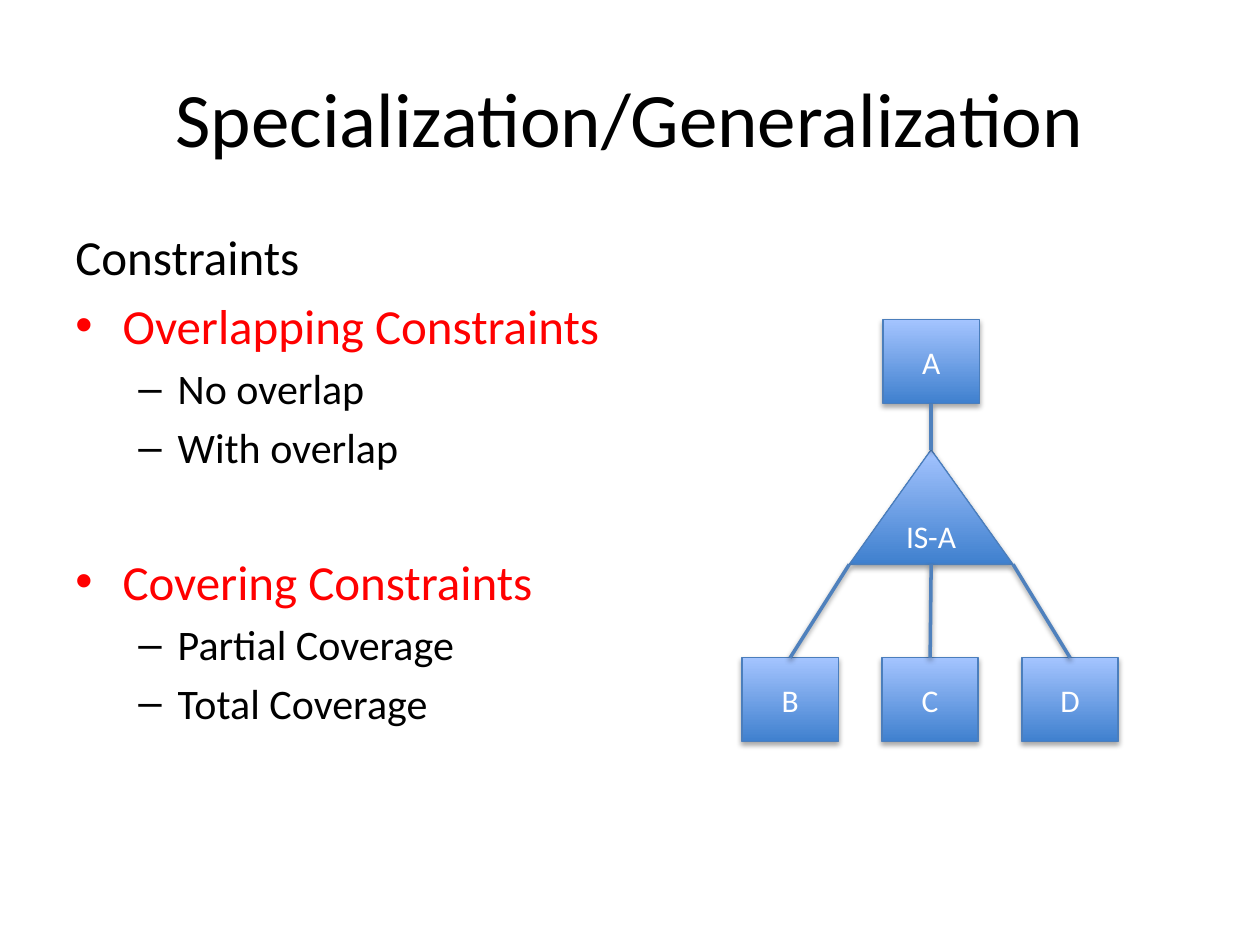
from lxml import etree
from pptx import Presentation
from pptx.dml.color import RGBColor
from pptx.enum import shapes, text
from pptx.oxml import ns
from pptx.util import Pt

FONT = "Calibri"
BLACK = RGBColor(0x00, 0x00, 0x00)
WHITE = RGBColor(0xFF, 0xFF, 0xFF)
RED = RGBColor(0xFF, 0x00, 0x00)
NODE_DARK = RGBColor(0x3F, 0x80, 0xCE)
NODE_LIGHT = RGBColor(0xA4, 0xC4, 0xFF)
NODE_EDGE = RGBColor(0x4B, 0x7E, 0xBC)
LINK = RGBColor(0x4F, 0x81, 0xBD)

# wording, level (None: no bullet), space before
CONSTRAINTS = [
    ("Constraints", None, 0),
    ("Overlapping Constraints", 0, 5.6),
    ("No overlap", 1, 4.8),
    ("With overlap", 1, 4.8),
    ("Covering Constraints", 0, 45.4),
    ("Partial Coverage", 1, 4.8),
    ("Total Coverage", 1, 4.8),
]
# level: bullet, left margin, hanging indent, size, colour
LEVELS = {
    None: (None, 0, 0, 28, BLACK),
    0: ("•", 27, 27, 28, RED),
    1: ("–", 58.5, 22.5, 24, BLACK),
}


def add_run(p, wording, size, color):
    r = p.add_run()
    r.text = wording
    r.font.name, r.font.size, r.font.color.rgb = FONT, Pt(size), color


def add_shadow(sp, opacity, blur, distance):
    """Give a shape or connector a black shadow falling straight down."""
    sp_pr = sp._element.spPr
    for old in sp_pr.findall(ns.qn("a:effectLst")):
        sp_pr.remove(old)
    effects = etree.SubElement(sp_pr, ns.qn("a:effectLst"))
    outer = etree.SubElement(effects, ns.qn("a:outerShdw"), blurRad=str(Pt(blur)),
                             dist=str(Pt(distance)), dir="5400000", rotWithShape="0")
    black = etree.SubElement(outer, ns.qn("a:srgbClr"), val=str(BLACK))
    etree.SubElement(black, ns.qn("a:alpha"), val=str(opacity * 1000))


def add_title(s, left, top, width, height):
    tf = s.shapes.add_textbox(Pt(left), Pt(top), Pt(width), Pt(height)).text_frame
    tf.word_wrap = True
    tf.vertical_anchor = text.MSO_ANCHOR.MIDDLE
    p = tf.paragraphs[0]
    p.alignment = text.PP_ALIGN.CENTER
    add_run(p, "Specialization/Generalization", 44, BLACK)


def add_constraints(s, left, top, width, height):
    tf = s.shapes.add_textbox(Pt(left), Pt(top), Pt(width), Pt(height)).text_frame
    tf.word_wrap = True
    for i, (wording, level, before) in enumerate(CONSTRAINTS):
        bullet, margin, hang, size, color = LEVELS[level]
        p = tf.add_paragraph() if i else tf.paragraphs[0]
        p.level = level or 0
        if bullet:
            p_pr = p._p.get_or_add_pPr()
            p_pr.set("marL", str(Pt(margin)))
            p_pr.set("indent", str(-Pt(hang)))
            etree.SubElement(p_pr, ns.qn("a:buFont"), typeface="Arial")
            etree.SubElement(p_pr, ns.qn("a:buChar"), char=bullet)
        p.space_before = Pt(before)
        add_run(p, wording, size, color)


def add_node(s, kind, label, left, top, width, height):
    sp = s.shapes.add_shape(kind, Pt(left), Pt(top), Pt(width), Pt(height))
    sp.fill.gradient()
    sp.fill.gradient_angle = 90
    for stop, color in zip(sp.fill.gradient_stops, (NODE_DARK, NODE_LIGHT)):
        stop.color.rgb = color
    sp.line.color.rgb = NODE_EDGE
    sp.line.width = Pt(0.75)
    add_shadow(sp, 35, 3.1, 1.8)
    tf = sp.text_frame
    tf.vertical_anchor = text.MSO_ANCHOR.MIDDLE
    p = tf.paragraphs[0]
    p.alignment = text.PP_ALIGN.CENTER
    add_run(p, label, 18, WHITE)
    return sp


def add_link(s, x, y, node, site):
    """Link the point (x, y) to a connection site of a box."""
    cn = s.shapes.add_connector(shapes.MSO_CONNECTOR.STRAIGHT, Pt(x), Pt(y), Pt(x), Pt(y))
    cn.end_connect(node, site)
    cn.line.color.rgb = LINK
    cn.line.width = Pt(2)
    add_shadow(cn, 38, 3.1, 1.6)
    return cn


def add_hierarchy(s, left, top, width, height):
    box_w, box_h = 55, 48
    tri_w, tri_h = 93.6, 65.5
    center = left + width / 2 + 0.6
    tri_left, tri_top = center - tri_w / 2, top + 74.3
    tri_bottom = tri_top + tri_h
    rect, triangle = shapes.MSO_SHAPE.RECTANGLE, shapes.MSO_SHAPE.ISOSCELES_TRIANGLE

    is_a = add_node(s, triangle, "IS-A", tri_left, tri_top, tri_w, tri_h)
    parent = add_node(s, rect, "A", center - box_w / 2, top, box_w, box_h)
    add_link(s, center, tri_top, parent, 2).begin_connect(is_a, 0)

    pitch = (width - box_w) / 2
    for i, label in enumerate("BCD"):
        child = add_node(s, rect, label, left + i * pitch, top + height - box_h, box_w, box_h)
        add_link(s, tri_left + i * tri_w / 2, tri_bottom, child, 0)


def main():
    prs = Presentation()
    prs.slide_width, prs.slide_height = Pt(720), Pt(540)
    s = prs.slides.add_slide(prs.slide_layouts[6])
    add_title(s, 36, 21.6, 648, 90)
    add_constraints(s, 36, 126, 343, 356.4)
    add_hierarchy(s, 424, 182.7, 215, 241.2)
    prs.save("out.pptx")


if __name__ == "__main__":
    main()
